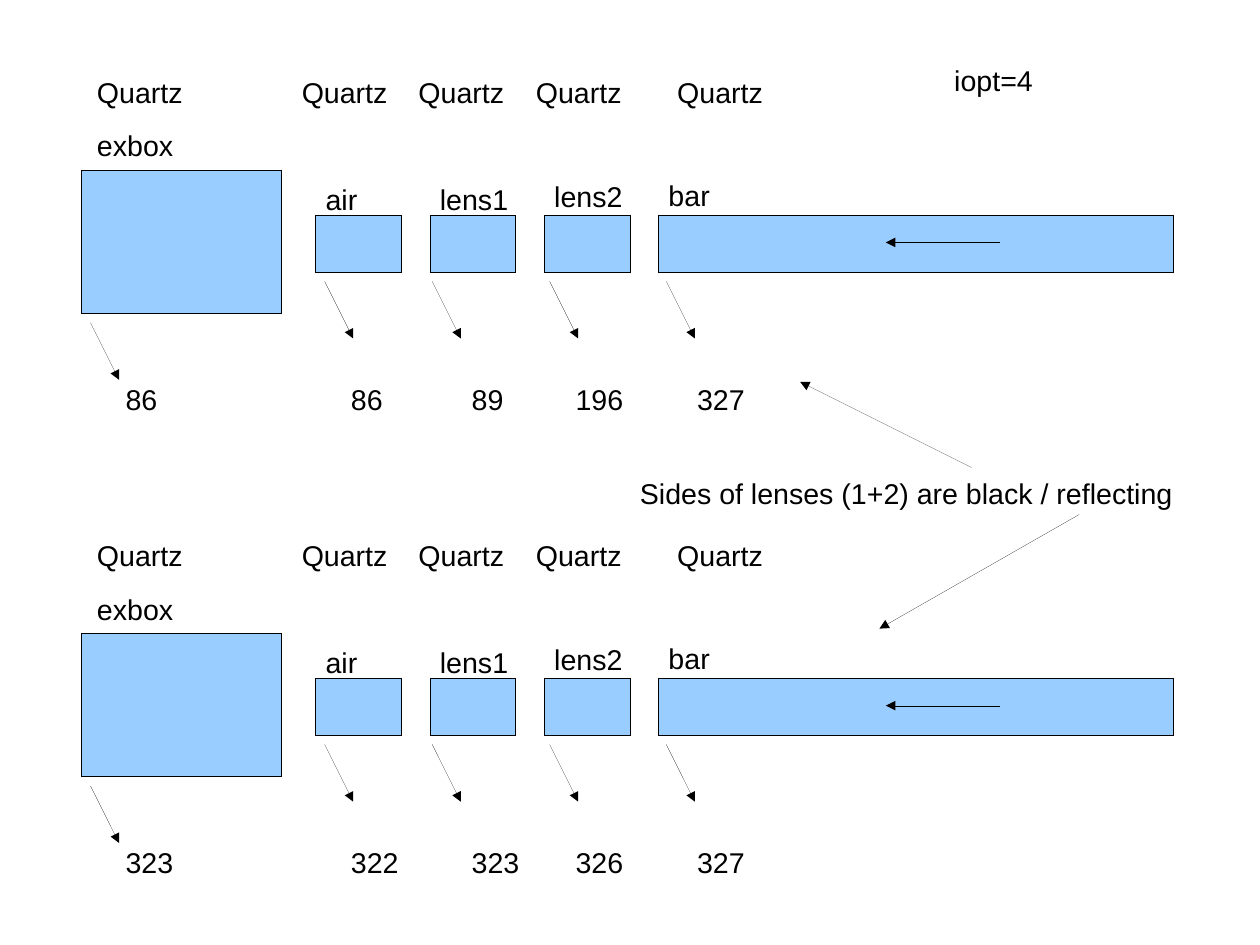
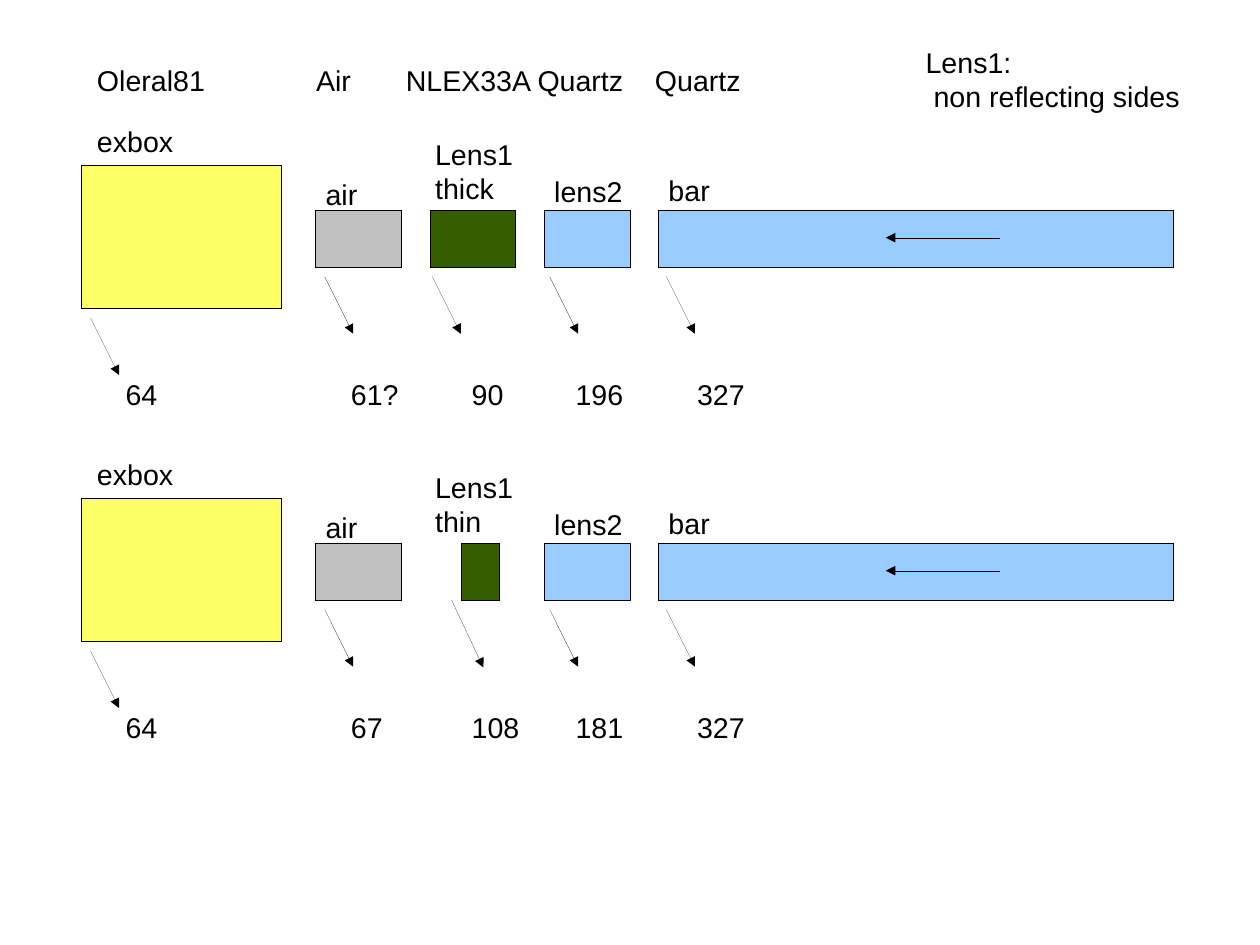
from lxml import etree
from pptx import Presentation
from pptx.dml.color import RGBColor
from pptx.enum.shapes import MSO_CONNECTOR, MSO_SHAPE
from pptx.enum.text import MSO_AUTO_SIZE
from pptx.oxml.ns import qn
from pptx.util import Pt

STRAIGHT = MSO_CONNECTOR.STRAIGHT
RECTANGLE = MSO_SHAPE.RECTANGLE
FIT_TEXT = MSO_AUTO_SIZE.SHAPE_TO_FIT_TEXT

BLACK = RGBColor(0x00, 0x00, 0x00)
BLUE = RGBColor(0x99, 0xCC, 0xFF)
YELLOW = RGBColor(0xFF, 0xFF, 0x66)
GREY = RGBColor(0xC0, 0xC0, 0xC0)
GREEN = RGBColor(0x35, 0x5E, 0x00)

# Content: each optical row has a top, labels, values and element colours
ALL_QUARTZ = ["Quartz"] * 5
QUARTZ_TABS = [129, 202.5, 276.5, 365.5]
LABELS = ["exbox", "air", "lens1", "lens2", "bar"]
QUARTZ_COLOURS = [BLUE] * 5
MIXED_COLOURS = [YELLOW, GREY, GREEN, BLUE, BLUE]

SLIDES = [
    {
        "materials": [(43.5, ALL_QUARTZ, QUARTZ_TABS),
                      (335.25, ALL_QUARTZ, QUARTZ_TABS)],
        "rows": [
            {"top": 107.25, "labels": LABELS, "colours": QUARTZ_COLOURS,
             "values": ["86", "86", "89", "196", "327"]},
            {"top": 399, "labels": LABELS, "colours": QUARTZ_COLOURS,
             "values": ["323", "322", "323", "326", "327"]},
        ],
        "notes": [("iopt=4", 594, 36, 64),
                  ("Sides of lenses (1+2) are black / reflecting", 396, 296.5, 390)],
        "note_arrows": [(612, 294.5, 504, 240.5), (680, 324, 554, 396)],
    },
    {
        "materials": [(36, ["Oleral81", "Air", "NLEX33A", "Quartz", "Quartz"],
                       [138, 194.5, 277.5, 351.5])],
        "rows": [
            {"top": 104.25, "colours": MIXED_COLOURS,
             "labels": ["exbox", "air", "Lens1\nthick", "lens2", "bar"],
             "values": ["64", "61?", "90", "196", "327"]},
            {"top": 314, "colours": MIXED_COLOURS, "thin_lens": True,
             "labels": ["exbox", "air", "Lens1\nthin", "lens2", "bar"],
             "values": ["64", "67", "108", "181", "327"]},
        ],
        "notes": [("Lens1:\nnon reflecting sides", 576, 24.5, 175)],
        "note_arrows": [],
    },
]

# Row geometry: vertical offsets count from the top of the exbox
ELEMENT_TOP, ELEMENT_HEIGHT = 28.5, 36
BOXES = [(51.25, 0, 126, 90)] + [
    (199 + 72 * i, ELEMENT_TOP, width, ELEMENT_HEIGHT)
    for i, width in enumerate([54, 54, 54, 324])]
LABEL_SPOTS = [(54, -30), (198, 3.75), (270, 3.75), (342, 1.75), (414, 1)]
TWO_LINE_LABEL_SPOT = (267, -21.5)
POINTERS = [(x, y, x + 18, y + 36) for x, y in
            [(57, 96), (204.5, 70), (272.25, 70), (346.25, 70), (419.75, 70)]]
VALUE_LEFTS, VALUE_TOP = [72, 214, 290, 355.5, 432], 129.75
THIN_LENS = 2
THIN_BOX = (290.75, ELEMENT_TOP, 24, ELEMENT_HEIGHT)
THIN_POINTER = (284.5, 64, 304.5, 106.5)
BEAM = (630, 45.5, 558, 45.5)


def add_text(slide, text, left, top, width, wrap=True, tabs=()):
    box = slide.shapes.add_textbox(Pt(left), Pt(top), Pt(width), Pt(27))
    frame = box.text_frame
    frame.text = text
    frame.word_wrap = wrap
    frame.auto_size = FIT_TEXT
    for paragraph in frame.paragraphs:
        if tabs:
            properties = paragraph._p.get_or_add_pPr()
            stops = etree.SubElement(properties, qn("a:tabLst"))
            for position in tabs:
                etree.SubElement(stops, qn("a:tab"), pos=str(Pt(position)), algn="l")
        for run in paragraph.runs:
            run.font.name = "Arial"
            run.font.size = Pt(18)
            run.font.color.rgb = BLACK
    return frame


def set_hairline(line):
    line.color.rgb = BLACK
    outline = line._get_or_add_ln()
    # A zero width must be written out, or the theme width applies
    outline.set("w", "0")
    return outline


def add_box(slide, left, top, width, height, colour):
    box = slide.shapes.add_shape(RECTANGLE, Pt(left), Pt(top), Pt(width), Pt(height))
    box.shadow.inherit = False
    box.fill.solid()
    box.fill.fore_color.rgb = colour
    set_hairline(box.line)


def add_arrow(slide, x1, y1, x2, y2):
    arrow = slide.shapes.add_connector(STRAIGHT, Pt(x1), Pt(y1), Pt(x2), Pt(y2))
    outline = set_hairline(arrow.line)
    etree.SubElement(outline, qn("a:tailEnd"), type="triangle")
    etree.SubElement(arrow._element.spPr, qn("a:effectLst"))


def add_row(slide, row):
    top = row["top"]
    for i, (label, value, colour) in enumerate(
            zip(row["labels"], row["values"], row["colours"])):
        thin = i == THIN_LENS and row.get("thin_lens")
        left, y, width, height = THIN_BOX if thin else BOXES[i]
        add_box(slide, left, top + y, width, height, colour)
        x1, y1, x2, y2 = THIN_POINTER if thin else POINTERS[i]
        add_arrow(slide, x1, top + y1, x2, top + y2)
        label_left, label_y = TWO_LINE_LABEL_SPOT if "\n" in label else LABEL_SPOTS[i]
        add_text(slide, label, label_left, top + label_y, 68, wrap=False)
        add_text(slide, value, VALUE_LEFTS[i], top + VALUE_TOP, 54)
    x1, y1, x2, y2 = BEAM
    add_arrow(slide, x1, top + y1, x2, top + y2)


def main():
    deck = Presentation()
    deck.slide_width, deck.slide_height = Pt(793.7), Pt(595.28)
    for content in SLIDES:
        slide = deck.slides.add_slide(deck.slide_layouts[6])
        for row in content["rows"]:
            add_row(slide, row)
        for top, materials, tabs in content["materials"]:
            add_text(slide, "\t".join(materials), 54, top, 450, tabs=tabs)
        for text, left, top, width in content["notes"]:
            frame = add_text(slide, text, left, top, width + 10)
            # Later lines of a note are slightly indented
            for paragraph in frame.paragraphs[1:]:
                paragraph._p.get_or_add_pPr().set("marL", str(Pt(5)))
        for ends in content["note_arrows"]:
            add_arrow(slide, *ends)
    deck.save("out.pptx")


if __name__ == "__main__":
    main()
